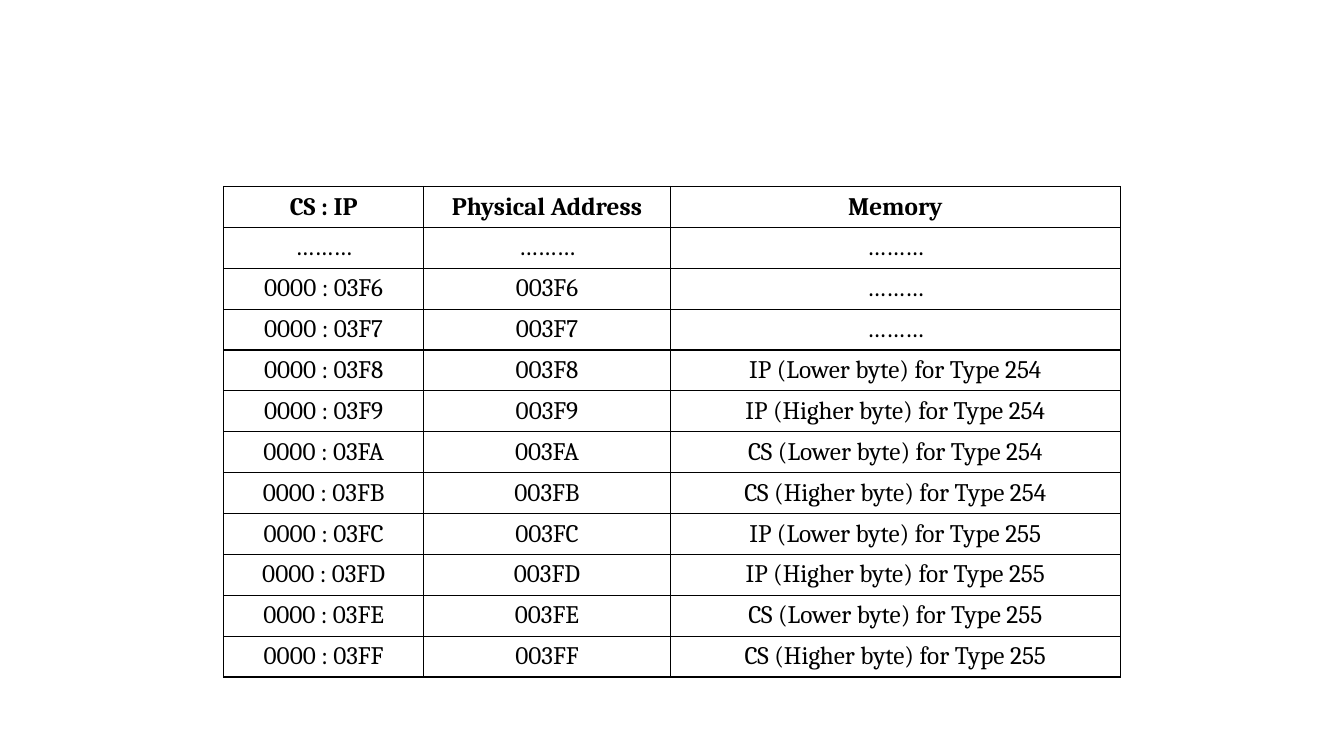
"""Build a slide with the end of the interrupt vector table in memory."""
from itertools import product

from lxml.etree import SubElement
from pptx import Presentation
from pptx.dml.color import RGBColor
from pptx.enum.text import MSO_ANCHOR, PP_ALIGN
from pptx.oxml.ns import qn
from pptx.util import Inches, Pt

COLORS = {"ink": "000000", "paper": "FFFFFF"}
COLUMN_WIDTHS = [1.98, 2.45, 4.46]
ROW_HEIGHT = 4.87 / 12
DOTS = "………"


def draw_borders(cell):
    properties = cell._tc.get_or_add_tcPr()
    for side in ("lnL", "lnR", "lnT", "lnB"):
        line = SubElement(properties, qn(f"a:{side}"), w=str(Pt(1)))
        fill = SubElement(line, qn("a:solidFill"))
        SubElement(fill, qn("a:srgbClr"), val=COLORS["ink"])


vector_bytes = [
    f"{register} ({half} byte) for Type {kind}"
    for kind, register, half in product((254, 255), ("IP", "CS"), ("Lower", "Higher"))
]
rows = [("CS : IP", "Physical Address", "Memory"), (DOTS, DOTS, DOTS)]
for address, content in enumerate([DOTS, DOTS] + vector_bytes, start=0x3F6):
    rows.append((f"0000 : {address:04X}", f"{address:05X}", content))

deck = Presentation()
deck.slide_width, deck.slide_height = Inches(13.33), Inches(7.5)
page = deck.slides.add_slide(deck.slide_layouts[6])

table = page.shapes.add_table(
    len(rows), len(COLUMN_WIDTHS), Inches(2.22), Inches(1.85),
    Inches(sum(COLUMN_WIDTHS)), Inches(ROW_HEIGHT * len(rows)),
).table
table.horz_banding = False
for column, width in zip(table.columns, COLUMN_WIDTHS):
    column.width = Inches(width)

for row_index, texts in enumerate(rows):
    table.rows[row_index].height = Inches(ROW_HEIGHT)
    for column_index, text in enumerate(texts):
        cell = table.cell(row_index, column_index)
        draw_borders(cell)
        cell.fill.solid()
        cell.fill.fore_color.rgb = RGBColor.from_string(COLORS["paper"])
        cell.vertical_anchor = MSO_ANCHOR.MIDDLE
        cell.margin_top = cell.margin_bottom = 0
        cell.text_frame.text = text
        para = cell.text_frame.paragraphs[0]
        para.alignment = PP_ALIGN.CENTER
        font = para.runs[0].font
        font.name, font.size, font.bold = "Cambria", Pt(18), row_index == 0
        font.color.rgb = RGBColor.from_string(COLORS["ink"])

deck.save("out.pptx")
